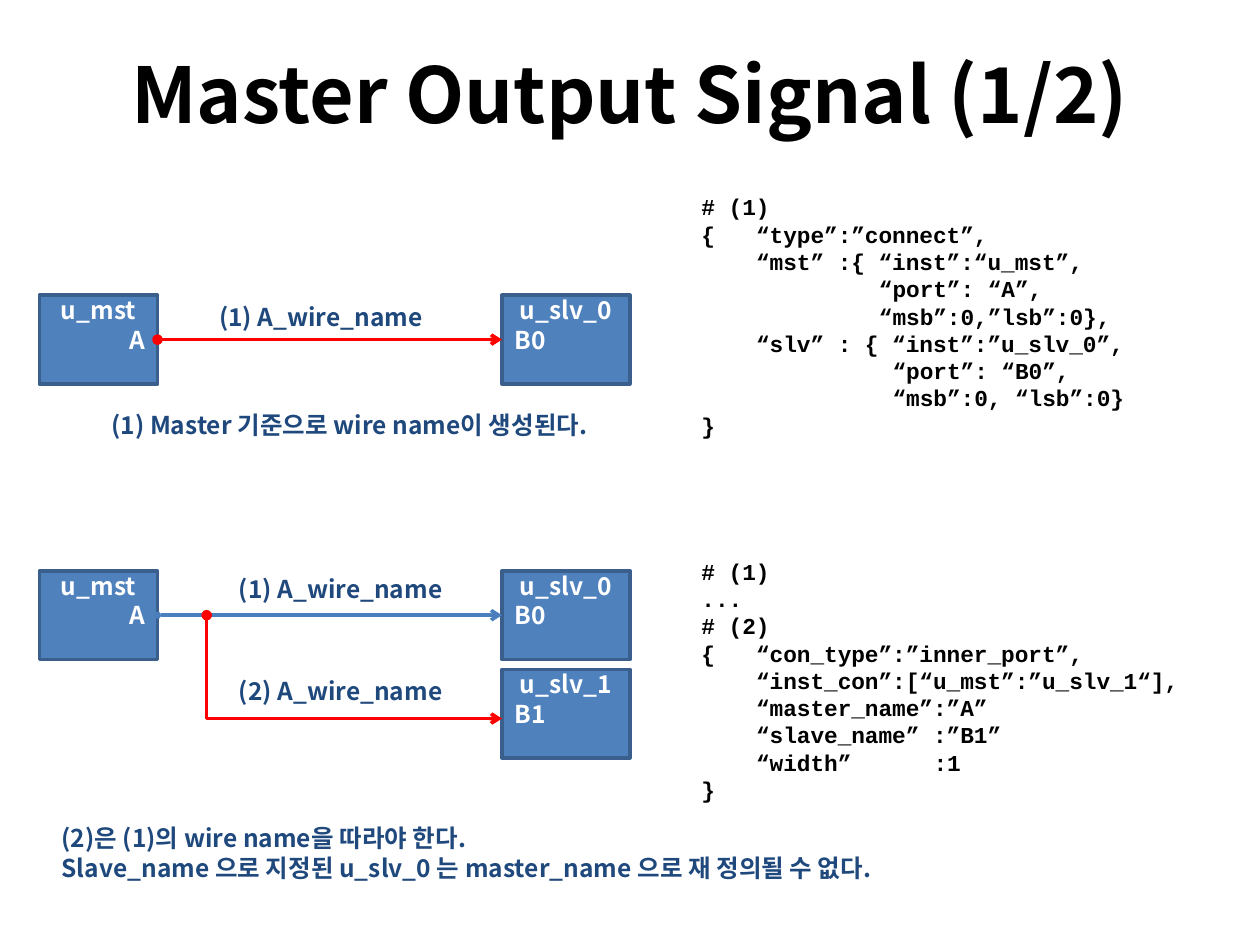
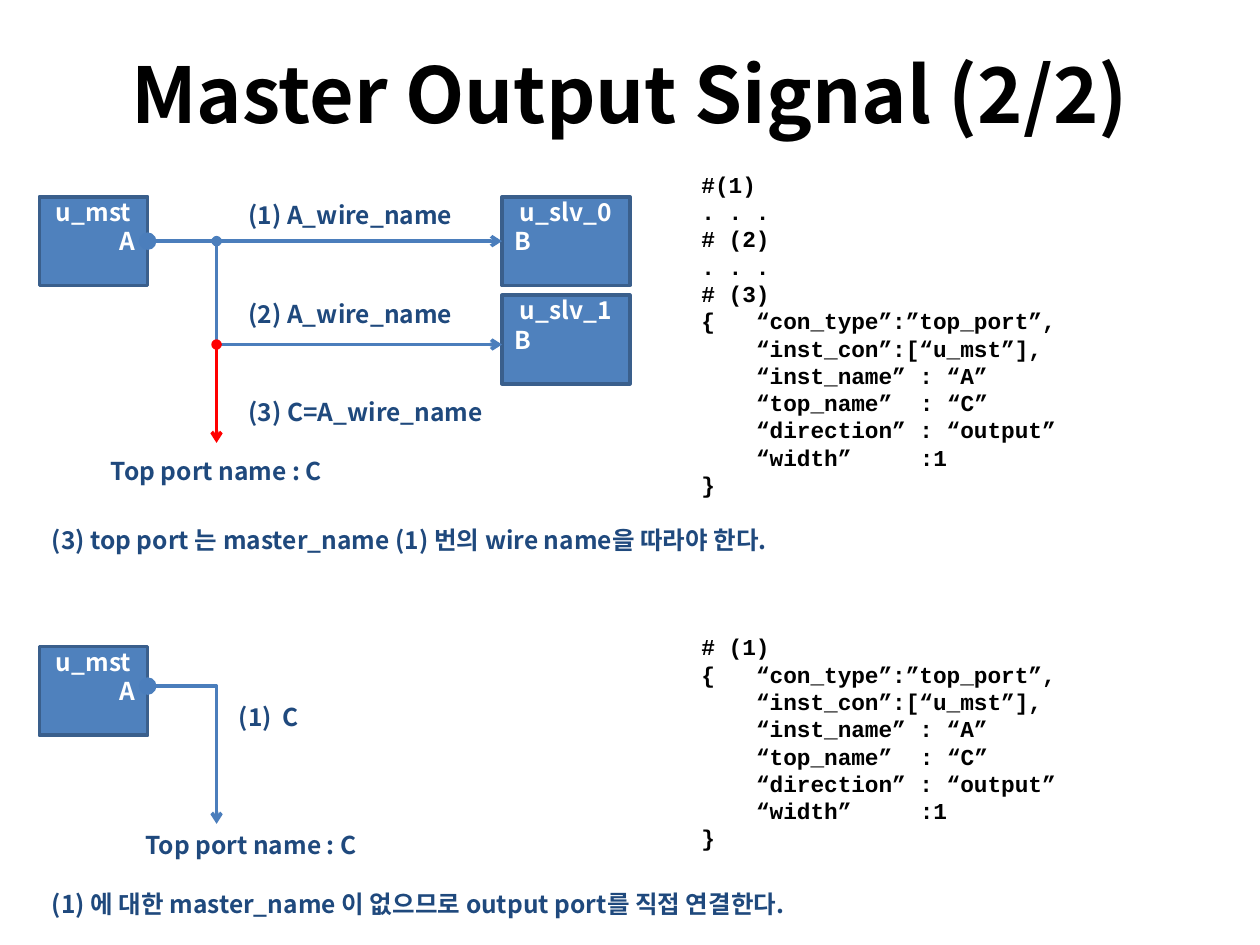
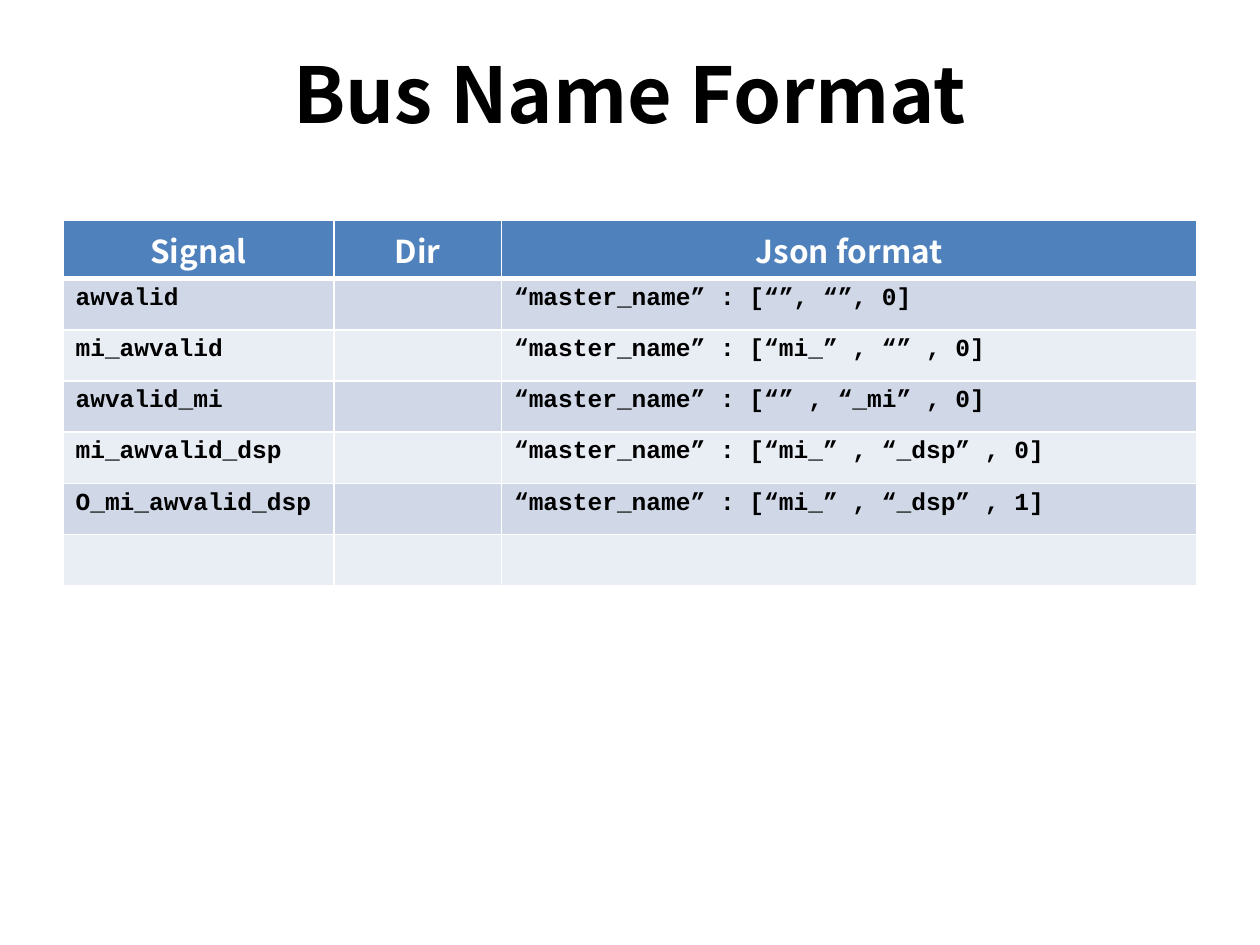
from pptx import Presentation
from pptx.dml.color import RGBColor
from pptx.enum.shapes import MSO_CONNECTOR, MSO_SHAPE
from pptx.enum.text import MSO_ANCHOR, MSO_AUTO_SIZE, PP_ALIGN
from pptx.oxml.ns import qn
from pptx.util import Emu, Inches, Pt
from lxml import etree

LEFT, CENTER, RIGHT = PP_ALIGN.LEFT, PP_ALIGN.CENTER, PP_ALIGN.RIGHT
TOP, MIDDLE = MSO_ANCHOR.TOP, MSO_ANCHOR.MIDDLE
GROW, FIXED = MSO_AUTO_SIZE.SHAPE_TO_FIT_TEXT, MSO_AUTO_SIZE.NONE
RECT, STRAIGHT = MSO_SHAPE.RECTANGLE, MSO_CONNECTOR.STRAIGHT

COLORS = {
    "black": "000000", "white": "FFFFFF", "note": "1F497D",
    "block": "4F81BD", "edge": "3A5F8C", "wire": "4B7EBC", "new": "FF0000",
    "band_dark": "D0D8E8", "band_light": "E9EDF4",
}
SANS, MONO = "Noto Sans CJK KR", "Courier New"
STYLES = {  # size, font, colour, line pitch in points (None is natural)
    "title": (44, SANS, "black", None),
    "note": (14, SANS, "note", 16.8),
    "block": (14, SANS, "white", 16.8),
    "code": (13, MONO, "black", 15.6),
    "head": (18, SANS, "white", None),
    "cell": (14, MONO, "black", None),
}

# The slide is a grid of 128 columns by 96 rows
SLIDE_W, SLIDE_H = Inches(10), Inches(7.5)
COLUMNS = 128
UNIT = SLIDE_W / COLUMNS
LABEL_H = 4.4
CODE_CHAR = Pt(13 * 0.6)


def grid(*cells):
    return [Emu(round(cell * UNIT)) for cell in cells]


def rgb(name):
    return RGBColor.from_string(COLORS[name])


def set_all(target, values):
    for name, value in values.items():
        setattr(target, name, value)


# ---- Text ----
def write(frame, lines, style, aligns=(LEFT,), stops=None, hang=0):
    """Fill a frame; aligns repeats its last entry, stops are in characters."""
    size, font, color, pitch = STYLES[style]
    for i, line in enumerate(lines):
        paragraph = frame.paragraphs[0] if i == 0 else frame.add_paragraph()
        set_all(paragraph, {"alignment": aligns[min(i, len(aligns) - 1)],
                            "line_spacing": Pt(pitch) if pitch else None})
        run = paragraph.add_run()
        run.text = line
        set_all(run.font, {"size": Pt(size), "bold": True, "name": font})
        run.font.color.rgb = rgb(color)
        etree.SubElement(run.font._element, qn("a:ea"), typeface=font)
        props = paragraph._p.get_or_add_pPr()
        if hang:
            props.set("marL", str(hang))
            props.set("indent", str(-hang))
        if stops and stops[i]:
            tabs = etree.SubElement(props, qn("a:tabLst"))
            for stop in stops[i]:
                etree.SubElement(tabs, qn("a:tab"), pos=str(stop * CODE_CHAR), algn="l")


def text_box(slide, box, lines, style, **layout):
    frame = slide.shapes.add_textbox(*grid(*box)).text_frame
    set_all(frame, {"word_wrap": True, "auto_size": GROW,
                    "margin_top": Inches(0.05), "margin_bottom": Inches(0.05)})
    write(frame, lines, style, **layout)
    return frame


def title(slide, text):
    box = (6.4, 3.84, COLUMNS - 12.8, 11.1)
    frame = text_box(slide, box, [text], "title", aligns=(CENTER,))
    set_all(frame, {"auto_size": FIXED, "vertical_anchor": MIDDLE})


def code(slide, box, lines):
    """Each line is its text with tabs, followed by the tab columns."""
    text_box(slide, box, [line[0] for line in lines], "code",
             stops=[line[1:] for line in lines])


# ---- Diagram ----
def block(slide, box, name, port, port_align):
    shape = slide.shapes.add_shape(RECT, *grid(*box))
    shape.shadow.inherit = False
    shape.fill.solid()
    shape.fill.fore_color.rgb = rgb("block")
    shape.line.color.rgb = rgb("edge")
    shape.line.width = Pt(2)
    set_all(shape.text_frame, {"word_wrap": True, "vertical_anchor": TOP,
                               "margin_top": 0, "margin_bottom": 0})
    write(shape.text_frame, [name, port], "block", (CENTER, port_align))


def wire(slide, points, color, dot):
    """Straight wires are connectors, bent ones open outlines."""
    points = [grid(*point) for point in points]
    if len(points) == 2:
        shape = slide.shapes.add_connector(STRAIGHT, *points[0], *points[1])
        etree.SubElement(shape._element.spPr, qn("a:effectLst"))
    else:
        outline = slide.shapes.build_freeform(*points[0], scale=1.0)
        outline.add_line_segments(points[1:], close=False)
        shape = outline.convert_to_shape()
        shape.shadow.inherit = False
        shape.fill.background()
    shape.line.color.rgb = rgb(color)
    shape.line.width = Pt(2)
    ends = shape.line._get_or_add_ln()
    etree.SubElement(ends, qn("a:headEnd"), type="oval", w=dot, len=dot)
    etree.SubElement(ends, qn("a:tailEnd"), type="arrow")


def diagram(slide, origin, master_w, slaves, wires, labels):
    """Master block at the origin, slave blocks stacked at its right."""
    x, y = origin
    block(slide, (x, y, master_w, 9), "u_mst", "A", RIGHT)
    for i, port in enumerate(slaves):
        block(slide, (x + 47, y + 10 * i, 13, 9), f"u_slv_{i}", port, LEFT)
    for color, dot, *points in wires:
        wire(slide, [(x + px, y + py) for px, py in points], color, dot)
    for lx, ly, width, text, align in labels:
        text_box(slide, (x + lx, y + ly, width, LABEL_H), [text], "note",
                 aligns=(align,))


# ---- Table ----
def border(cell, sides):
    props = cell._tc.get_or_add_tcPr()
    for i, (side, width) in enumerate(sides.items()):
        line = etree.Element(qn(f"a:ln{side}"), w=str(Pt(width)))
        fill = etree.SubElement(line, qn("a:solidFill"))
        etree.SubElement(fill, qn("a:srgbClr"), val=COLORS["white"])
        props.insert(i, line)


def format_table(slide, box, widths, header, rows):
    x, y, w, h = grid(*box)
    table = slide.shapes.add_table(len(rows) + 1, len(header), x, y, w, h).table
    for column, width in zip(table.columns, widths):
        column.width = Inches(width)
    for r, values in enumerate([header, *rows]):
        band = "block" if r == 0 else ("band_light", "band_dark")[r % 2]
        for c, value in enumerate(values):
            cell = table.cell(r, c)
            cell.fill.solid()
            cell.fill.fore_color.rgb = rgb(band)
            border(cell, {"L": 1, "R": 1, "T": 3 if r == 1 else 1,
                          "B": 3 if r == 0 else 1})
            if value:
                write(cell.text_frame, [value], "cell" if r else "head",
                      (LEFT if r else CENTER,))


# ---- Content ----
TOP_PORT = [
    ("{\t“con_type”:”top_port”,", 4),
    ("\t“inst_con”:[“u_mst”],", 4),
    ("\t“inst_name” : “A”", 4),
    ("\t“top_name”\t: “C”", 4, 16),
    ("\t“direction” : “output”", 4),
    ("\t“width”\t:1", 4, 16),
    ("}",),
]
CONNECT = [
    ("# (1)",),
    ("{\t“type”:”connect”,", 4),
    ("\t“mst” :{ “inst”:“u_mst”,", 4),
    ("\t“port”: “A”,", 13),
    ("\t“msb”:0,”lsb”:0},", 13),
    ("\t“slv” : { “inst”:”u_slv_0”,", 4),
    ("\t“port”: “B0”,", 14),
    ("\t“msb”:0, “lsb”:0}", 14),
    ("}",),
]
INNER_PORT = [
    ("# (1)",), ("...",), ("# (2)",),
    ("{\t“con_type”:”inner_port”,", 4),
    ("\t“inst_con”:[“u_mst”:”u_slv_1“],", 4),
    ("\t“master_name”:”A”", 4),
    ("\t“slave_name” :”B1”", 4),
    ("\t“width”\t:1", 4, 17),
    ("}",),
]
BUS_ROWS = [
    ("awvalid", "", "“master_name” : [“”, “”, 0]"),
    ("mi_awvalid", "", "“master_name” : [“mi_” , “” , 0]"),
    ("awvalid_mi", "", "“master_name” : [“” , “_mi” , 0]"),
    ("mi_awvalid_dsp", "", "“master_name” : [“mi_” , “_dsp” , 0]"),
    ("O_mi_awvalid_dsp", "", "“master_name” : [“mi_” , “_dsp” , 1]"),
    ("", "", ""),
]
HANG = Inches(0.38)


def inner_signals(slide):
    title(slide, "Master Output Signal (1/2)")
    diagram(slide, (4, 30), 12, ["B0"],
            [("new", "med", (12, 4.5), (47, 4.5))],
            [(17, 0, 28, "(1) A_wire_name", LEFT)])
    diagram(slide, (4, 58), 12, ["B0", "B1"],
            [("wire", "sm", (12, 4.5), (47, 4.5)),
             ("new", "med", (17, 4.5), (17, 15), (47, 15))],
            [(19, -0.3, 26, "(1) A_wire_name", LEFT),
             (19, 10, 26, "(2) A_wire_name", LEFT)])
    code(slide, (70, 19, 57, 26.5), CONNECT)
    code(slide, (70, 56, 57, 26.5), INNER_PORT)
    text_box(slide, (6, 41, 59, LABEL_H),
             ["(1) Master 기준으로 wire name이 생성된다."],
             "note", aligns=(CENTER,), hang=HANG)
    text_box(slide, (5, 83, 103, 7.3),
             ["(2)은 (1)의 wire name을 따라야 한다.",
              "Slave_name 으로 지정된 u_slv_0 는 master_name 으로 재 정의될 수 없다."],
             "note", hang=HANG)


def top_port_signals(slide):
    title(slide, "Master Output Signal (2/2)")
    diagram(slide, (4, 20), 11, ["B", "B"],
            [("wire", "lg", (11, 4.5), (47, 4.5)),
             ("wire", "med", (18, 4.5), (18, 15), (47, 15)),
             ("new", "med", (18, 15), (18, 25))],
            [(20, -0.3, 26, "(1) A_wire_name", LEFT),
             (20, 9.7, 25, "(2) A_wire_name", LEFT),
             (20, 19.7, 29, "(3) C=A_wire_name", LEFT),
             (2, 25.7, 32, "Top port name : C", CENTER)])
    diagram(slide, (4, 65.7), 11, [],
            [("wire", "lg", (11, 4), (18, 4), (18, 18))],
            [(19, 5, 20, "(1)  C", LEFT),
             (0, 18, 43, "Top port name : C", CENTER)])
    steps = [("#(1)",), (". . .",), ("# (2)",), (". . .",), ("# (3)",)]
    code(slide, (70, 16.7, 57, 37.5), steps + TOP_PORT)
    code(slide, (70, 63.7, 57, 29), [("# (1)",)] + TOP_PORT)
    for y, width, note in (
            (52.7, 80, "(3) top port 는 master_name (1) 번의 wire name을 따라야 한다."),
            (89.7, 85, "(1) 에 대한 master_name 이 없으므로 output port를 직접 연결한다.")):
        text_box(slide, (4, y, width, LABEL_H), [note], "note")


def bus_names(slide):
    title(slide, "Bus Name Format")
    format_table(slide, (6.4, 22.4, COLUMNS - 12.8, 36.4), (2.15, 1.33, 5.52),
                 ("Signal", "Dir", "Json format"), BUS_ROWS)


deck = Presentation()
set_all(deck, {"slide_width": SLIDE_W, "slide_height": SLIDE_H})
for build in (inner_signals, top_port_signals, bus_names):
    build(deck.slides.add_slide(deck.slide_layouts[6]))
deck.save("out.pptx")
